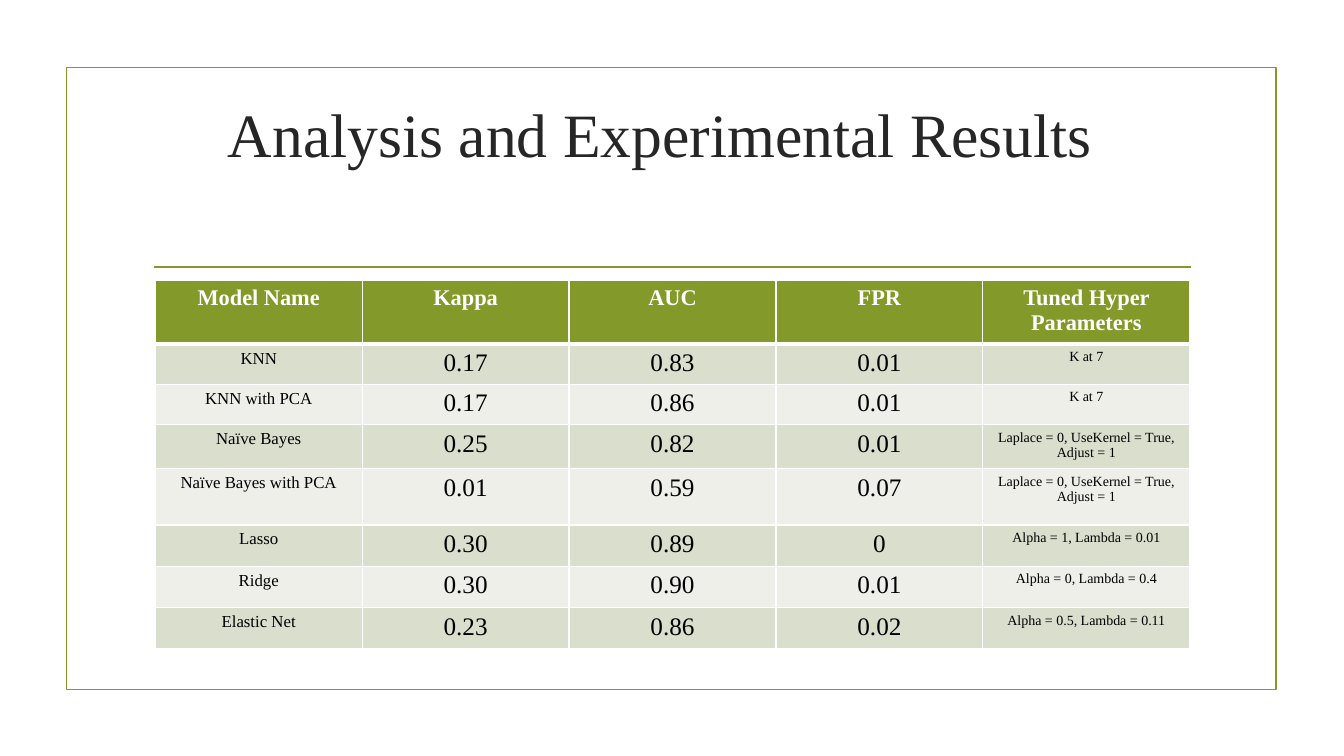
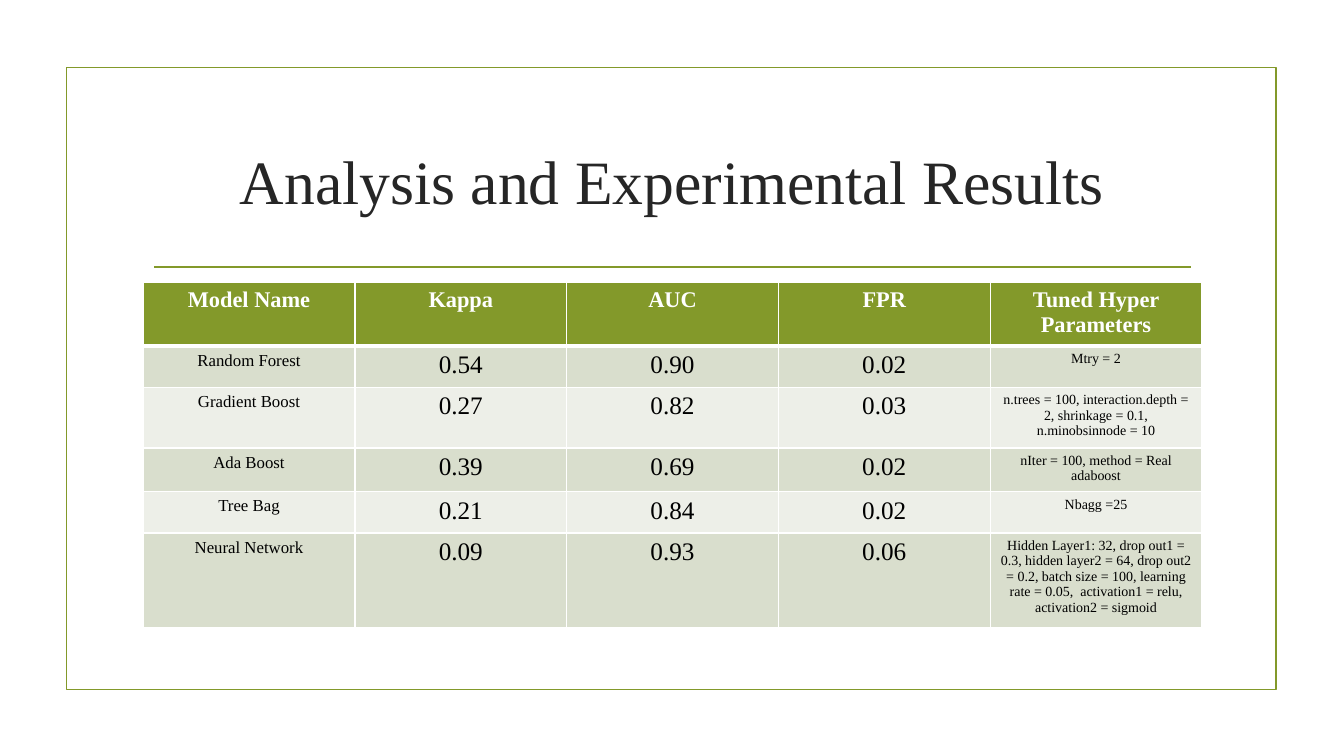
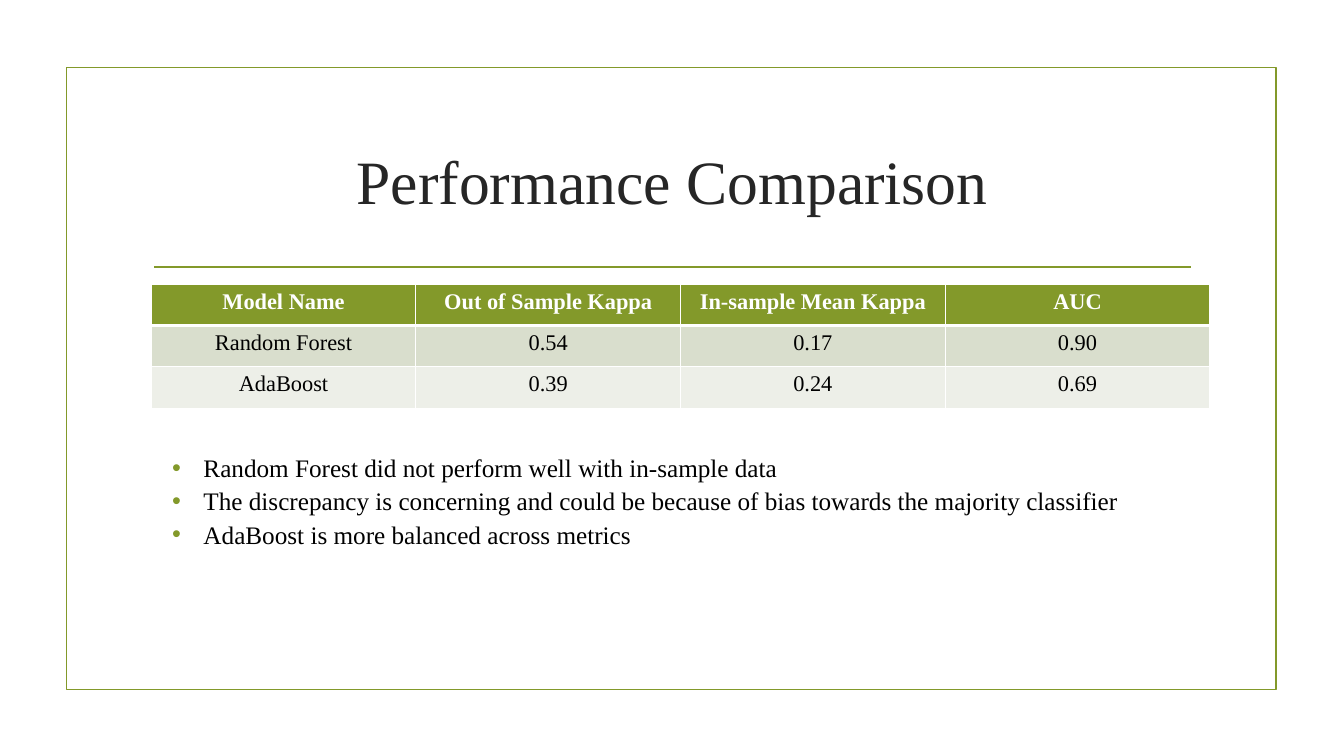
from lxml import etree
from pptx import Presentation
from pptx.dml.color import RGBColor
from pptx.enum.shapes import MSO_CONNECTOR, MSO_SHAPE
from pptx.enum.text import MSO_ANCHOR, PP_ALIGN
from pptx.oxml.ns import qn
from pptx.util import Inches, Pt

RECTANGLE = MSO_SHAPE.RECTANGLE
STRAIGHT = MSO_CONNECTOR.STRAIGHT
CENTER = PP_ALIGN.CENTER
MIDDLE = MSO_ANCHOR.MIDDLE

FONT = "Times New Roman"
GREEN, WHITE, BLACK, TITLE_GREY = "83992A", "FFFFFF", "000000", "262626"
BANDS = ("D9DECD", "EDEFE8")

FRAME_BOX = (0.66, 0.67, 12, 6.17)
RULE_LEFT, RULE_RIGHT, RULE_TOP = 1.53, 11.81, 2.65
TITLE_BOX = (1.42, 1.07, 10.5, 1.43)

RESULT_HEADINGS = ("Model Name", "Kappa", "AUC", "FPR", "Tuned Hyper Parameters")
RESULT_SIZES = (12, 18, 18, 18, 10)

BASIC_MODELS = [
    ("KNN", "0.17", "0.83", "0.01", "K at 7"),
    ("KNN with PCA", "0.17", "0.86", "0.01", "K at 7"),
    ("Naïve Bayes", "0.25", "0.82", "0.01", "Laplace = 0, UseKernel = True, Adjust = 1"),
    ("Naïve Bayes with PCA", "0.01", "0.59", "0.07",
     "Laplace = 0, UseKernel = True, Adjust = 1"),
    ("Lasso", "0.30", "0.89", "0", "Alpha = 1, Lambda = 0.01"),
    ("Ridge", "0.30", "0.90", "0.01", "Alpha = 0, Lambda = 0.4"),
    ("Elastic Net", "0.23", "0.86", "0.02", "Alpha = 0.5, Lambda = 0.11"),
]
ADVANCED_MODELS = [
    ("Random Forest", "0.54", "0.90", "0.02", "Mtry = 2"),
    ("Gradient Boost", "0.27", "0.82", "0.03",
     "n.trees = 100, interaction.depth = 2, shrinkage = 0.1, n.minobsinnode = 10"),
    ("Ada Boost", "0.39", "0.69", "0.02", "nIter = 100, method = Real adaboost"),
    ("Tree Bag", "0.21", "0.84", "0.02", "Nbagg =25"),
    ("Neural Network", "0.09", "0.93", "0.06",
     "Hidden Layer1: 32, drop out1 = 0.3, hidden layer2 = 64, drop out2 = 0.2, "
     "batch size = 100, learning rate = 0.05,  activation1 = relu, activation2 = sigmoid"),
]
COMPARISON_HEADINGS = ("Model Name", "Out of Sample Kappa", "In-sample Mean Kappa", "AUC")
COMPARISON = [
    ("Random Forest", "0.54", "0.17", "0.90"),
    ("AdaBoost", "0.39", "0.24", "0.69"),
]
FINDINGS = (
    "Random Forest did not perform well with in-sample data",
    "The discrepancy is concerning and could be because of bias towards the majority classifier",
    "AdaBoost is more balanced across metrics",
)


def color(hex_value):
    return RGBColor.from_string(hex_value)


def inches(box):
    return [Inches(length) for length in box]


def style(paragraph, size, hex_value, bold=False):
    font = paragraph.font
    font.name, font.size, font.bold = FONT, Pt(size), bold
    font.color.rgb = color(hex_value)


def outline(line):
    line.color.rgb = color(GREEN)
    line.width = Pt(1.25)


def add_titled_slide(deck, title, title_box=TITLE_BOX):
    """Add a blank slide with the shared frame, rule and title."""
    slide = deck.slides.add_slide(deck.slide_layouts[6])
    frame = slide.shapes.add_shape(RECTANGLE, *inches(FRAME_BOX))
    frame.shadow.inherit = False
    frame.fill.background()
    outline(frame.line)

    ends = (RULE_LEFT, RULE_TOP, RULE_RIGHT, RULE_TOP)
    rule = slide.shapes.add_connector(STRAIGHT, *inches(ends))
    outline(rule.line)
    etree.SubElement(rule._element.spPr, qn("a:effectLst"))

    heading = slide.shapes.add_textbox(*inches(title_box)).text_frame
    heading.word_wrap = True
    heading.vertical_anchor = MIDDLE
    heading.text = title
    heading.paragraphs[0].alignment = CENTER
    style(heading.paragraphs[0], 44, TITLE_GREY)
    return slide


def add_borders(cell, bottom_width):
    properties = cell._tc.get_or_add_tcPr()
    for side, width in (("L", 1), ("R", 1), ("T", 1), ("B", bottom_width)):
        border = etree.SubElement(properties, qn(f"a:ln{side}"), w=str(Pt(width)))
        fill = etree.SubElement(border, qn("a:solidFill"))
        etree.SubElement(fill, qn("a:srgbClr"), val=WHITE)


def add_banded_table(slide, box, headings, records, body_sizes, row_heights):
    """Fill box (left, top, width) with equal columns and banded rows."""
    left, top, width = box
    rows = [headings, *records]
    table = slide.shapes.add_table(
        len(rows), len(headings), *inches((left, top, width, sum(row_heights)))).table
    for column in table.columns:
        column.width = Inches(width / len(headings))
    for r, (values, height) in enumerate(zip(rows, row_heights)):
        table.rows[r].height = Inches(height)
        is_header = r == 0
        for c, value in enumerate(values):
            cell = table.cell(r, c)
            add_borders(cell, 3 if is_header else 1)
            cell.fill.solid()
            cell.fill.fore_color.rgb = color(GREEN if is_header else BANDS[(r - 1) % 2])
            cell.text = value
            paragraph = cell.text_frame.paragraphs[0]
            paragraph.alignment = CENTER
            if is_header:
                style(paragraph, 16, WHITE, bold=True)
            else:
                style(paragraph, body_sizes[c], BLACK)


def add_bullets(slide, box, items):
    body = slide.shapes.add_textbox(*inches(box)).text_frame
    body.word_wrap = True
    body.text = "\n".join(items)
    indent = Inches(0.31)
    for paragraph in body.paragraphs:
        style(paragraph, 18, BLACK)
        paragraph.line_spacing = 1.1
        properties = paragraph._p.get_or_add_pPr()
        properties.set("marL", str(indent))
        properties.set("indent", str(-indent))
        bullet_color = etree.SubElement(properties, qn("a:buClr"))
        etree.SubElement(bullet_color, qn("a:srgbClr"), val=GREEN)
        etree.SubElement(properties, qn("a:buFont"), typeface="Arial")
        etree.SubElement(properties, qn("a:buChar"), char="•")
        # The schema wants the default run properties after the bullet.
        properties.append(properties.find(qn("a:defRPr")))


def add_results_slide(deck, records, table_box, row_heights, title_box=TITLE_BOX):
    slide = add_titled_slide(deck, "Analysis and Experimental Results", title_box)
    add_banded_table(slide, table_box, RESULT_HEADINGS, records, RESULT_SIZES, row_heights)


def add_comparison_slide(deck):
    slide = add_titled_slide(deck, "Performance Comparison")
    add_banded_table(slide, (1.5, 2.82, 10.5), COMPARISON_HEADINGS, COMPARISON,
                     [16] * 4, [0.41] * 3)
    add_bullets(slide, (1.61, 4.41, 10.38, 1.01), FINDINGS)


def main():
    deck = Presentation()
    deck.slide_width, deck.slide_height = inches((13.33, 7.5))
    add_results_slide(deck, BASIC_MODELS, (1.54, 2.78, 10.26),
                      (0.58, 0.38, 0.38, 0.41, 0.56, 0.41, 0.41, 0.41),
                      title_box=(1.3, 0.82, 10.5, 0.99))
    add_results_slide(deck, ADVANCED_MODELS, (1.42, 2.8, 10.5),
                      (0.58, 0.41, 0.57, 0.41, 0.41, 0.86))
    add_comparison_slide(deck)
    deck.save("out.pptx")


if __name__ == "__main__":
    main()
